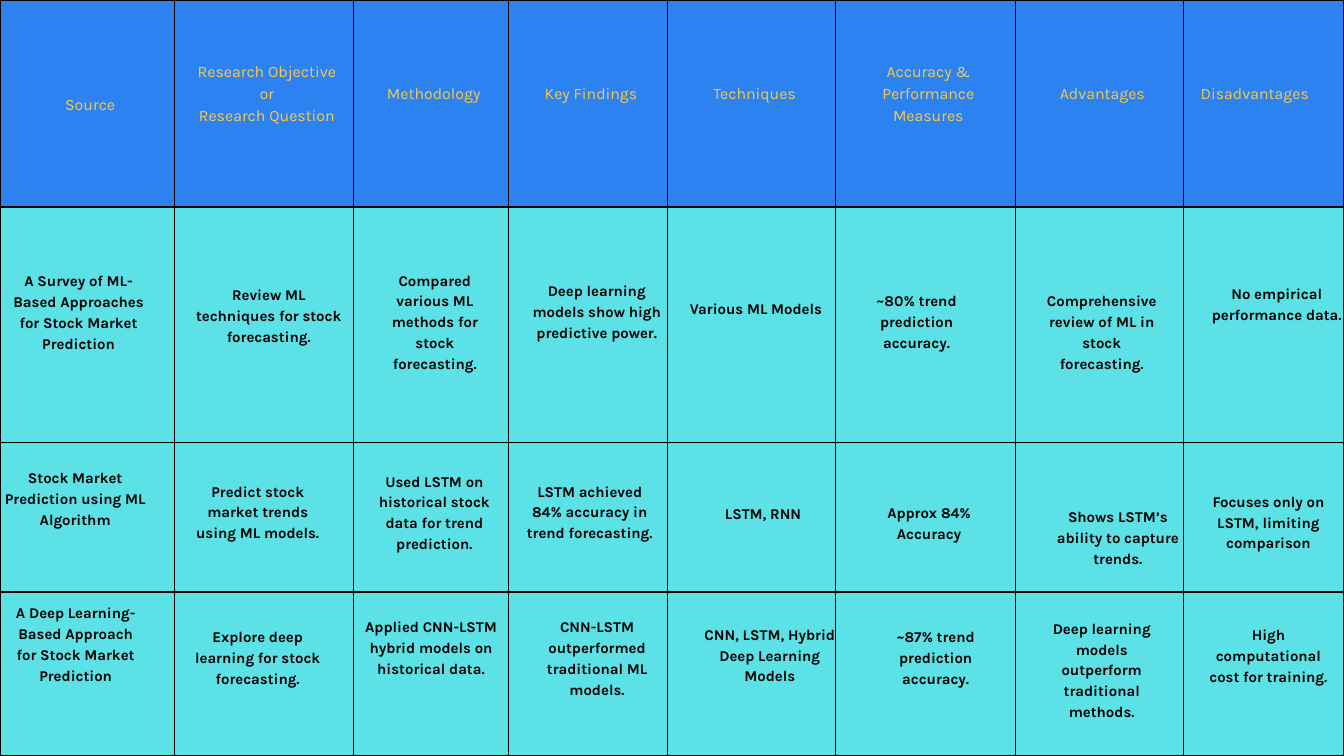
from pptx import Presentation
from pptx.dml.color import RGBColor
from pptx.enum.text import MSO_ANCHOR, MSO_AUTO_SIZE, PP_ALIGN
from pptx.oxml import parse_xml
from pptx.oxml.ns import nsdecls
from pptx.util import Pt

BLUE = RGBColor(0x2C, 0x82, 0xF0)
CYAN = RGBColor(0x5C, 0xE1, 0xE6)
GOLD = RGBColor(0xFA, 0xCA, 0x49)
BLACK = RGBColor(0, 0, 0)

COLUMN_WIDTHS = [187.2, 191.5, 166.3, 170.6, 180, 192.2, 180.7, 171.5]
ROW_HEIGHTS = [221.7, 252, 160.6, 175.7]
HEADINGS = [
    "Source", "Research Objective or\nResearch Question", "Methodology", "Key Findings",
    "Techniques", "Accuracy &\nPerformance Measures", "Advantages", "Disadvantages",
]
FINDING_LINE = 22.4
FINDINGS = [
    ("A Survey of ML-Based Approaches for Stock Market Prediction", 8.6, 288.2, 151.2, 4),
    ("Review ML techniques for stock forecasting.", 204.5, 303.1, 167, 3),
    ("Compared various ML methods for stock forecasting.", 398.2, 287.3, 135.4, 5),
    ("Deep learning models show high predictive power.", 567.4, 298.8, 144, 3),
    ("Various ML Models", 738, 318.2, 144, 1),
    ("~80% trend prediction accuracy.", 910.1, 308.9, 144, 3),
    ("Comprehensive review of ML in stock forecasting.", 1114.6, 309.7, 131.8, 4),
    ("No empirical performance data.", 1296, 301.7, 144, 2),
    ("Stock Market Prediction using ML Algorithm", 5, 499, 151.2, 3),
    ("Predict stock market trends using ML models.", 204.5, 513.4, 143.3, 3),
    ("Used LSTM on historical stock data for trend prediction.", 393.8, 502.6, 143.3, 4),
    ("LSTM achieved 84% accuracy in trend forecasting.", 560.2, 513.4, 143.3, 3),
    ("LSTM, RNN", 745.9, 537.8, 143.3, 1),
    ("Approx 84% Accuracy", 923.8, 536.4, 143.3, 2),
    ("Shows LSTM’s ability to capture trends.", 1126.1, 540.8, 143.3, 3),
    ("Focuses only on LSTM, limiting comparison", 1287.4, 524.2, 143.3, 3),
    ("A Deep Learning-Based Approach for Stock Market Prediction", 9.4, 643.7, 143.3, 4),
    ("Explore deep learning for stock forecasting.", 204.5, 669.6, 143.3, 3),
    ("Applied CNN-LSTM hybrid models on historical data.", 390.2, 658.8, 143.3, 3),
    ("CNN-LSTM outperformed traditional ML models.", 568.1, 658.8, 143.3, 4),
    ("CNN, LSTM, Hybrid Deep Learning Models", 753.1, 666.7, 143.3, 3),
    ("~87% trend prediction accuracy.", 930.9, 669.6, 143.3, 3),
    ("Deep learning models outperform traditional methods.", 1108.8, 660.3, 143.3, 5),
    ("High computational cost for training.", 1287.4, 667.5, 143.3, 3),
]
HEADING_FONT = {"name": "Karla", "size": Pt(17), "bold": False}
FINDING_FONT = {"name": "Karla", "size": Pt(16), "bold": True}
HEADING_CELL = {
    "margin_left": Pt(18), "margin_right": Pt(12), "margin_top": Pt(8),
    "margin_bottom": Pt(31.8), "vertical_anchor": MSO_ANCHOR.MIDDLE,
}
FINDING_FRAME = {
    "margin_left": 0, "margin_right": 0, "margin_top": 0, "margin_bottom": 0,
    "word_wrap": True, "auto_size": MSO_AUTO_SIZE.SHAPE_TO_FIT_TEXT,
}


def apply_format(target, values):
    for attribute, value in values.items():
        setattr(target, attribute, value)


def write_text(frame, text, font, color, spacing):
    frame.text = text
    for paragraph in frame.paragraphs:
        apply_format(paragraph, {"alignment": PP_ALIGN.CENTER, "line_spacing": Pt(spacing)})
        for run in paragraph.runs:
            apply_format(run.font, font)
            run.font.color.rgb = color


presentation = Presentation()
apply_format(presentation, {"slide_width": Pt(1440), "slide_height": Pt(810)})
slide = presentation.slides.add_slide(presentation.slide_layouts[6])

review = slide.shapes.add_table(4, 8, 0, 0, Pt(1440), Pt(810)).table
apply_format(review, {"first_row": False, "horz_banding": False})
for column, width in zip(review.columns, COLUMN_WIDTHS):
    column.width = Pt(width)
for row, height in zip(review.rows, ROW_HEIGHTS):
    row.height = Pt(height)

for row_number, row in enumerate(review.rows):
    for cell in row.cells:
        cell_properties = cell._tc.get_or_add_tcPr()
        for side in ("lnL", "lnR", "lnT", "lnB"):
            cell_properties.append(parse_xml(
                f'<a:{side} {nsdecls("a")} w="{Pt(1.5)}"><a:solidFill>'
                f'<a:srgbClr val="{BLACK}"/></a:solidFill></a:{side}>'
            ))
        cell.fill.solid()
        cell.fill.fore_color.rgb = CYAN if row_number else BLUE

for cell, heading in zip(review.rows[0].cells, HEADINGS):
    apply_format(cell, HEADING_CELL)
    write_text(cell.text_frame, heading, HEADING_FONT, GOLD, 23.8)
review.cell(0, 0).margin_bottom = Pt(8)
review.cell(0, 7).text_frame.paragraphs[0].alignment = PP_ALIGN.LEFT

for finding, left, top, width, lines in FINDINGS:
    frame = slide.shapes.add_textbox(
        Pt(left), Pt(top), Pt(width), Pt(lines * FINDING_LINE)
    ).text_frame
    apply_format(frame, FINDING_FRAME)
    write_text(frame, finding, FINDING_FONT, BLACK, FINDING_LINE)

presentation.save("out.pptx")
